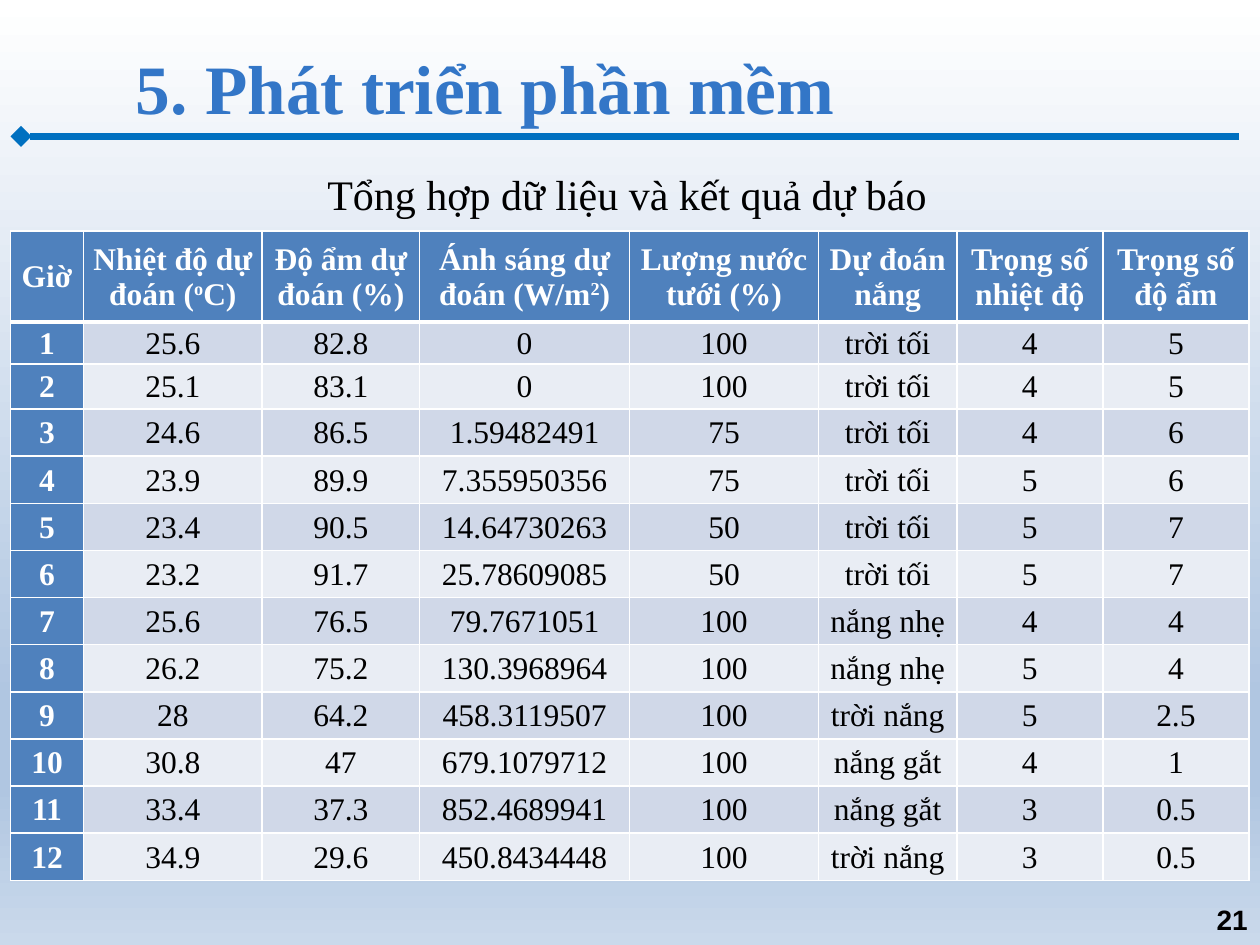
from dataclasses import dataclass
from typing import Any

from lxml.etree import SubElement
from pptx import Presentation
from pptx.dml.color import RGBColor
from pptx.enum.shapes import MSO_CONNECTOR as Connector
from pptx.enum.text import MSO_ANCHOR as Anchor
from pptx.enum.text import MSO_AUTO_SIZE as AutoSize
from pptx.enum.text import PP_ALIGN as Align
from pptx.oxml import parse_xml
from pptx.oxml.ns import nsdecls, qn
from pptx.util import Pt

SERIF = "Times New Roman"
WHITE, BLACK = "FFFFFF", "000000"
HEADER_BLUE, LINE_BLUE, TITLE_BLUE = "4F81BD", "0070C0", "3376C7"
BANDS = ("D0D8E8", "E9EDF4")
BACKGROUND_STOPS = ((0, WHITE), (74, "B0C6E1"), (83, "B0C6E1"), (100, "CAD9EB"))

COLUMN_WIDTHS = (41.8, 102, 90, 120, 108, 79, 83.5, 83.5)
ROW_HEIGHTS = (52, 24, 25.8) + (26.95,) * 10
HEADERS = (
    "Giờ",
    "Nhiệt độ dự đoán (^o^C)",
    "Độ ẩm dự đoán (%)",
    "Ánh sáng dự đoán (W/m^2^)",
    "Lượng nước tưới (%)",
    "Dự đoán nắng",
    "Trọng số nhiệt độ",
    "Trọng số độ ẩm",
)
FORECASTS = (
    ("25.6", "82.8", "0", "100", "trời tối", "4", "5"),
    ("25.1", "83.1", "0", "100", "trời tối", "4", "5"),
    ("24.6", "86.5", "1.59482491", "75", "trời tối", "4", "6"),
    ("23.9", "89.9", "7.355950356", "75", "trời tối", "5", "6"),
    ("23.4", "90.5", "14.64730263", "50", "trời tối", "5", "7"),
    ("23.2", "91.7", "25.78609085", "50", "trời tối", "5", "7"),
    ("25.6", "76.5", "79.7671051", "100", "nắng nhẹ", "4", "4"),
    ("26.2", "75.2", "130.3968964", "100", "nắng nhẹ", "5", "4"),
    ("28", "64.2", "458.3119507", "100", "trời nắng", "5", "2.5"),
    ("30.8", "47", "679.1079712", "100", "nắng gắt", "4", "1"),
    ("33.4", "37.3", "852.4689941", "100", "nắng gắt", "3", "0.5"),
    ("34.9", "29.6", "450.8434448", "100", "trời nắng", "3", "0.5"),
)


@dataclass(frozen=True)
class Box:
    left: float
    top: float
    width: float
    height: float

    def lengths(self) -> tuple:
        return Pt(self.left), Pt(self.top), Pt(self.width), Pt(self.height)


@dataclass(frozen=True)
class TextStyle:
    size: float
    color: str
    bold: bool = False
    name: str = SERIF
    align: Any = Align.LEFT
    space_after: float = 0


def color_of(value: str) -> RGBColor:
    return RGBColor.from_string(value)


def set_values(target: Any, values: dict) -> None:
    for name, value in values.items():
        setattr(target, name, value)


def write_text(frame: Any, text: str, style: TextStyle) -> None:
    paragraph = frame.paragraphs[0]
    set_values(paragraph, {
        "alignment": style.align,
        "space_before": Pt(0),
        "space_after": Pt(style.space_after),
    })
    for index, piece in enumerate(text.split("^")):
        run = paragraph.add_run()
        run.text = piece
        set_values(run.font, {
            "name": style.name, "size": Pt(style.size), "bold": style.bold,
        })
        run.font.color.rgb = color_of(style.color)
        if index % 2:
            run.font._element.set("baseline", "30000")


def paint_background(slide: Any) -> None:
    fill = slide.background.fill
    fill.gradient()
    fill.gradient_angle = 270
    stops = slide._element.find(".//" + qn("a:gsLst"))
    for stop in list(stops):
        stops.remove(stop)
    for position, color in BACKGROUND_STOPS:
        stop = SubElement(stops, qn("a:gs"), pos=str(position * 1000))
        SubElement(stop, qn("a:srgbClr"), val=color)


def draw_title_line(slide: Any) -> None:
    connector = slide.shapes.add_connector(
        Connector.STRAIGHT, Pt(12), Pt(77.9), Pt(708), Pt(77.9))
    connector.line.color.rgb = color_of(LINE_BLUE)
    connector.line.width = Pt(4)
    SubElement(connector.line._get_or_add_ln(), qn("a:headEnd"), type="diamond")
    SubElement(connector._element.spPr, qn("a:effectLst"))


def draw_title(slide: Any, text: str, box: Box, style: TextStyle) -> None:
    title = slide.shapes.title
    set_values(title, dict(zip(("left", "top", "width", "height"), box.lengths())))
    set_values(title.text_frame, {
        "auto_size": AutoSize.NONE, "vertical_anchor": Anchor.MIDDLE,
    })
    write_text(title.text_frame, text, style)


def draw_text(slide: Any, text: str, box: Box, style: TextStyle, layout: dict) -> None:
    shape = slide.shapes.add_textbox(*box.lengths())
    set_values(shape.text_frame, layout)
    write_text(shape.text_frame, text, style)


def set_borders(cell: Any, widths: dict) -> None:
    properties = cell._tc.get_or_add_tcPr()
    for index, (side, width) in enumerate(widths.items()):
        properties.insert(index, parse_xml(
            f'<a:ln{side} {nsdecls("a")} w="{Pt(width)}"><a:solidFill>'
            f'<a:srgbClr val="{WHITE}"/></a:solidFill></a:ln{side}>'))


def fill_cell(cell: Any, text: str, row: int, column: int) -> None:
    heading = row == 0 or column == 0
    set_values(cell, {
        "vertical_anchor": Anchor.MIDDLE,
        "margin_left": Pt(3.6),
        "margin_right": Pt(3.6),
        "margin_top": Pt(0.7),
        "margin_bottom": Pt(0),
    })
    cell.fill.solid()
    cell.fill.fore_color.rgb = color_of(HEADER_BLUE if heading else BANDS[(row - 1) % 2])
    set_borders(cell, {"L": 1, "R": 1, "T": 3 if row == 1 else 1, "B": 3 if row == 0 else 1})
    write_text(cell.text_frame, text, TextStyle(
        18, WHITE if heading else BLACK, heading, align=Align.CENTER, space_after=8))


def draw_forecast_table(slide: Any, left: float, top: float) -> None:
    rows = [HEADERS] + [(str(hour), *values) for hour, values in enumerate(FORECASTS, 1)]
    box = Box(left, top, sum(COLUMN_WIDTHS), sum(ROW_HEIGHTS))
    table = slide.shapes.add_table(len(rows), len(HEADERS), *box.lengths()).table
    for column, width in zip(table.columns, COLUMN_WIDTHS):
        column.width = Pt(width)
    for row, height in zip(table.rows, ROW_HEIGHTS):
        row.height = Pt(height)
    for row_index, values in enumerate(rows):
        for column_index, value in enumerate(values):
            fill_cell(table.cell(row_index, column_index), value, row_index, column_index)


def main() -> None:
    presentation = Presentation()
    set_values(presentation, {"slide_width": Pt(720), "slide_height": Pt(540)})
    slide = presentation.slides.add_slide(presentation.slide_layouts[5])
    paint_background(slide)
    draw_title_line(slide)
    draw_title(slide, "5. Phát triển phần mềm", Box(70.5, 23, 649.5, 53.3),
               TextStyle(39.6, TITLE_BLUE, True))
    draw_forecast_table(slide, 6, 132)
    draw_text(slide, "Tổng hợp dữ liệu và kết quả dự báo", Box(180, 93, 360, 36.4),
              TextStyle(24, BLACK),
              {"word_wrap": False, "auto_size": AutoSize.SHAPE_TO_FIT_TEXT})
    draw_text(slide, "21", Box(552, 511.2, 168, 28.8),
              TextStyle(16, BLACK, True, "Arial", Align.RIGHT),
              {"word_wrap": True, "vertical_anchor": Anchor.MIDDLE})
    presentation.save("out.pptx")


if __name__ == "__main__":
    main()
